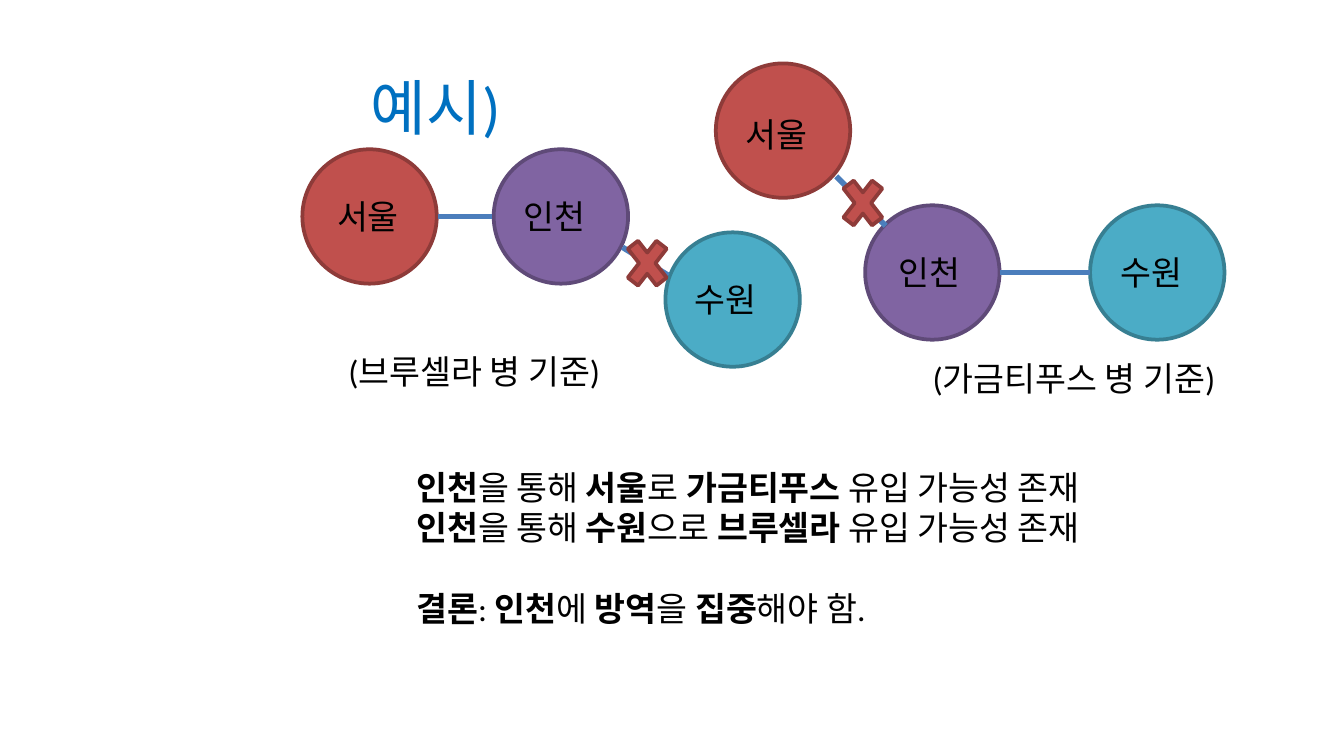
from dataclasses import dataclass

from pptx import Presentation
from pptx.dml.color import RGBColor
from pptx.enum.shapes import MSO_CONNECTOR, MSO_SHAPE
from pptx.enum.text import MSO_ANCHOR, MSO_AUTO_SIZE, PP_ALIGN
from pptx.oxml.ns import qn
from pptx.util import Pt

OVAL = MSO_SHAPE.OVAL
CROSS = MSO_SHAPE.MATH_MULTIPLY
LINE = MSO_CONNECTOR.STRAIGHT
LEFT = PP_ALIGN.LEFT
MIDDLE = MSO_ANCHOR.MIDDLE
GROW = MSO_AUTO_SIZE.SHAPE_TO_FIT_TEXT
NONE = MSO_AUTO_SIZE.NONE

FONT = "Calibri"
BLACK = RGBColor(0x00, 0x00, 0x00)
BLUE = RGBColor(0x00, 0x70, 0xC0)
STEEL = RGBColor(0x4B, 0x7E, 0xBC)
RED = RGBColor(0xC0, 0x50, 0x4D)
MAROON = RGBColor(0x8E, 0x3B, 0x39)
PURPLE = RGBColor(0x80, 0x64, 0xA2)
PLUM = RGBColor(0x5F, 0x4A, 0x78)
TEAL = RGBColor(0x4B, 0xAC, 0xC6)
PINE = RGBColor(0x37, 0x7F, 0x92)

TONES = {"서울": (RED, MAROON), "인천": (PURPLE, PLUM), "수원": (TEAL, PINE)}
SIDE = 72


@dataclass
class City:
    name: str
    x: float
    y: float
    dx: float
    dy: float


@dataclass
class Link:
    x1: float
    y1: float
    x2: float
    y2: float
    cut: bool = False


@dataclass
class Note:
    lines: list[str]
    x: float
    y: float
    w: float
    h: float
    gap: float = 0


CITIES = [
    City("서울", 162, 80, 11.5, 21.5),
    City("인천", 264.5, 80, 9, 21.5),
    City("수원", 356.5, 124.5, 8.5, 21.5),
    City("서울", 383.5, 34, 9, 23.5),
    City("인천", 463.5, 110, 11, 21.5),
    City("수원", 584, 110, 9, 21.5),
]
LINKS = [
    Link(234.5, 116, 263.5, 116),
    Link(333.5, 132.5, 358, 147.5, cut=True),
    Link(448, 94.5, 474.5, 121, cut=True),
    Link(535.5, 146, 584, 146),
]
NOTES = [
    Note(["(브루셀라 병 기준)"], 179.5, 184.5, 156, 29),
    Note(["(가금티푸스 병 기준)"], 492.5, 188, 181, 29),
    Note(
        [
            "*인천*을 통해 *서울*로 *가금티푸스* 유입 가능성 존재",
            "*인천*을 통해 *수원*으로 *브루셀라* 유입 가능성 존재",
            "*결론*: *인천*에 *방역*을 *집중*해야 함.",
        ],
        216, 246.5, 410, 94, gap=21.6,
    ),
]


def write(frame, lines: list[str], *, size=18, color=BLACK, gap=0) -> None:
    frame.word_wrap = True
    for i, line in enumerate(lines):
        para = frame.paragraphs[0] if i == 0 else frame.add_paragraph()
        para.alignment = LEFT
        if gap and i == len(lines) - 1:
            para.space_before = Pt(gap)
        for j, part in enumerate(line.split("*")):
            if part:
                run = para.add_run()
                run.text = part
                font = run.font
                font.name, font.size, font.bold = FONT, Pt(size), j % 2 == 1
                font.color.rgb = color


def add_note(slide, note: Note) -> None:
    box = slide.shapes.add_textbox(Pt(note.x), Pt(note.y), Pt(note.w), Pt(note.h))
    write(box.text_frame, note.lines, gap=note.gap)
    box.text_frame.auto_size = GROW


def add_form(slide, kind, x: float, y: float, w: float, h: float, tone) -> None:
    form = slide.shapes.add_shape(kind, Pt(x), Pt(y), Pt(w), Pt(h))
    form.shadow.inherit = False
    form.fill.solid()
    form.fill.fore_color.rgb, form.line.color.rgb = tone
    form.line.width = Pt(2)


def add_city(slide, city: City) -> None:
    add_form(slide, OVAL, city.x, city.y, SIDE, SIDE, TONES[city.name])
    add_note(slide, Note([city.name], city.x + city.dx, city.y + city.dy, 55.5, 29))


def add_link(slide, link: Link) -> None:
    ends = [Pt(v) for v in (link.x1, link.y1, link.x2, link.y2)]
    line = slide.shapes.add_connector(LINE, *ends)
    line.line.color.rgb = STEEL
    line.line.width = Pt(3)
    props = line._element.spPr
    props.append(props.makeelement(qn("a:effectLst"), {}))
    if link.cut:
        w, h = 29.5, 38
        x = (link.x1 + link.x2 - w) / 2 + 1
        y = (link.y1 + link.y2 - h) / 2 + 1
        add_form(slide, CROSS, x, y, w, h, (RED, MAROON))


def main() -> None:
    deck = Presentation()
    deck.slide_width, deck.slide_height = Pt(720), Pt(405)
    slide = deck.slides.add_slide(deck.slide_layouts[5])

    title = slide.shapes.title
    title.left, title.top = Pt(191.5), Pt(34)
    title.width, title.height = Pt(493), Pt(45.5)
    write(title.text_frame, ["예시)"], size=32.4, color=BLUE)
    title.text_frame.vertical_anchor = MIDDLE
    title.text_frame.auto_size = NONE

    for city in CITIES:
        add_city(slide, city)
    for link in LINKS:
        add_link(slide, link)
    for note in NOTES:
        add_note(slide, note)

    deck.save("out.pptx")


if __name__ == "__main__":
    main()
